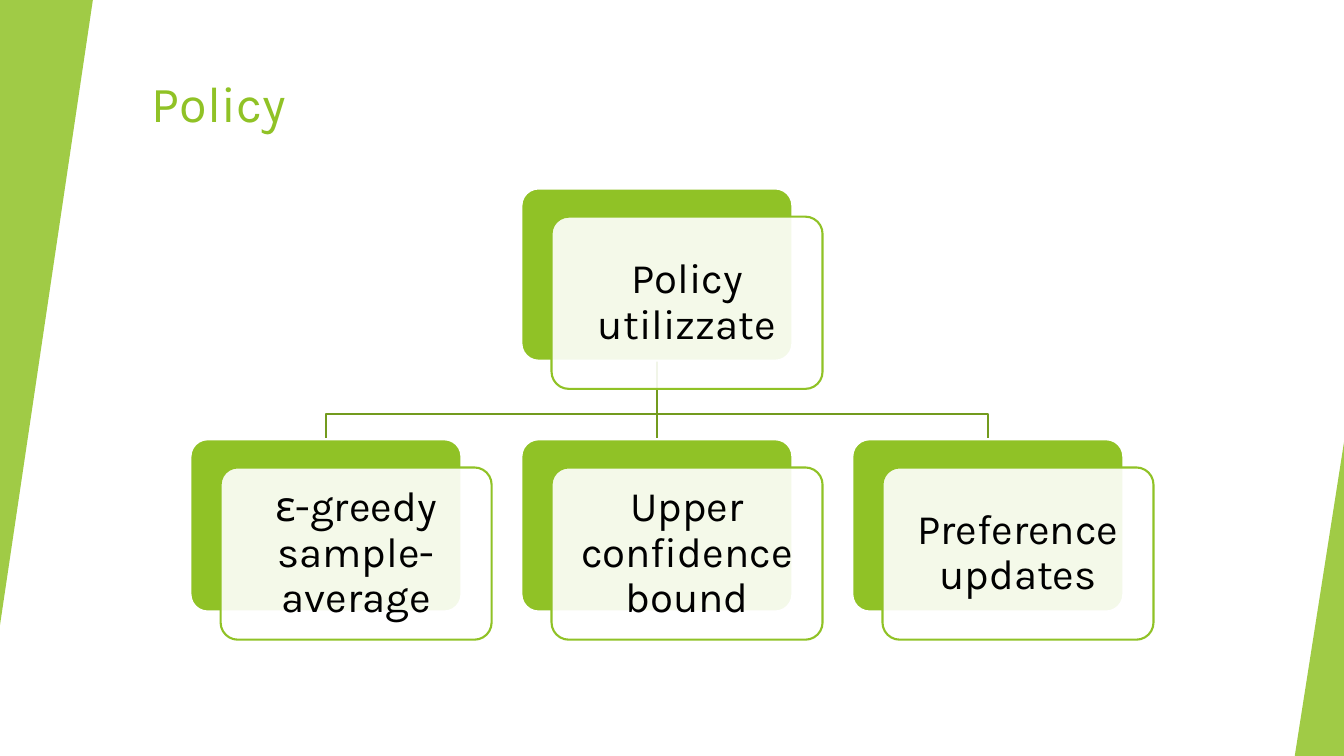
from lxml import etree
from pptx import Presentation
from pptx import util as u
from pptx.dml.color import RGBColor
from pptx.enum import shapes, text
from pptx.oxml import ns

# Content
TITLE = "Policy"
ROOT = "Policy utilizzate"
POLICIES = ["ε-greedy sample-average", "Upper confidence bound", "Preference updates"]


class Theme:
    font = "Karla"
    title_size, card_size = 36, 30
    green, line_green = "90C226", "739B1E"
    white, black = "FFFFFF", "000000"
    line_width = 1.5
    card_alpha, edge_alpha = 90, 85


# Layout in centimetres
SLIDE_W, SLIDE_H = 33.87, 19.05
CARD_W, CARD_H = 6.83, 4.34
CARD_DX, CARD_DY = 0.76, 0.71
FIRST_X, PITCH = 4.8, 8.34
ROOT_Y, POLICY_Y, BRANCH_Y = 4.75, 11.07, 10.44
CARD_INSET = 0.3

policy_xs = [FIRST_X + i * PITCH for i in range(len(POLICIES))]
root_x = sum(policy_xs) / len(policy_xs)

prs = Presentation()
prs.slide_width, prs.slide_height = u.Cm(SLIDE_W), u.Cm(SLIDE_H)
slide = prs.slides.add_slide(prs.slide_layouts[6])


def color(code):
    return RGBColor.from_string(code)


def paint(shape, fill, alpha=100, outline=None):
    shape.shadow.inherit = False
    shape.fill.solid()
    shape.fill.fore_color.rgb = color(fill)
    if alpha < 100:
        srgb = shape.fill._xPr.find(".//" + ns.qn("a:srgbClr"))
        etree.SubElement(srgb, ns.qn("a:alpha"), val=str(alpha * 1000))
    if outline:
        draw_line(shape, outline)
    else:
        shape.line.fill.background()


def draw_line(shape, code):
    shape.line.color.rgb = color(code)
    shape.line.width = u.Pt(Theme.line_width)


def write(paragraph, words, size, code):
    run = paragraph.add_run()
    run.text = words
    run.font.name = Theme.font
    run.font.size = u.Pt(size)
    run.font.color.rgb = color(code)


def add_edge(x, y, w, h, rotation=0):
    edge = slide.shapes.add_shape(shapes.MSO_SHAPE.ISOSCELES_TRIANGLE,
                                  u.Cm(x), u.Cm(y), u.Cm(w), u.Cm(h))
    edge.adjustments[0] = 1
    edge.rotation = rotation
    paint(edge, Theme.green, Theme.edge_alpha)


def add_branch(child_x):
    start_x, end_x = u.Cm(root_x + CARD_W / 2), u.Cm(child_x + CARD_W / 2)
    top, bend, bottom = u.Cm(ROOT_Y + CARD_H), u.Cm(BRANCH_Y), u.Cm(POLICY_Y)
    if abs(start_x - end_x) < u.Cm(0.01):
        branch = slide.shapes.add_connector(shapes.MSO_CONNECTOR.STRAIGHT,
                                            start_x, top, start_x, bottom)
        etree.SubElement(branch.line._get_or_add_ln().getparent(), ns.qn("a:effectLst"))
    else:
        builder = slide.shapes.build_freeform(start_x, top)
        builder.add_line_segments([(start_x, bend), (end_x, bend), (end_x, bottom)], close=False)
        branch = builder.convert_to_shape()
        branch.shadow.inherit = False
        branch.fill.background()
    draw_line(branch, Theme.line_green)


def add_rounded(x, y):
    card = slide.shapes.add_shape(shapes.MSO_SHAPE.ROUNDED_RECTANGLE,
                                  u.Cm(x), u.Cm(y), u.Cm(CARD_W), u.Cm(CARD_H))
    card.adjustments[0] = 0.1
    return card


def add_card(x, y, label):
    paint(add_rounded(x, y), Theme.green, outline=Theme.white)
    front = add_rounded(x + CARD_DX, y + CARD_DY)
    paint(front, Theme.white, Theme.card_alpha, Theme.green)
    frame = front.text_frame
    frame.word_wrap = True
    frame.vertical_anchor = text.MSO_ANCHOR.MIDDLE
    frame.margin_left = frame.margin_right = u.Cm(CARD_INSET)
    frame.margin_top = frame.margin_bottom = u.Cm(CARD_INSET)
    paragraph = frame.paragraphs[0]
    paragraph.alignment = text.PP_ALIGN.CENTER
    paragraph.line_spacing = 0.9
    write(paragraph, label, Theme.card_size, Theme.black)


# Title
title = slide.shapes.add_textbox(u.Cm(3.58), u.Cm(1.7), u.Cm(28.32), u.Cm(3.05))
title.text_frame.word_wrap = True
write(title.text_frame.paragraphs[0], TITLE, Theme.title_size, Theme.green)

# Slanted edges
add_edge(0, 0, 2.34, 15.75, rotation=180)
add_edge(SLIDE_W - 1.24, SLIDE_H - 7.9, 1.24, 7.9)

# Policy tree: branches lie behind the cards
for policy_x in policy_xs:
    add_branch(policy_x)
add_card(root_x, ROOT_Y, ROOT)
for policy_x, policy in zip(policy_xs, POLICIES):
    add_card(policy_x, POLICY_Y, policy)

prs.save("out.pptx")
